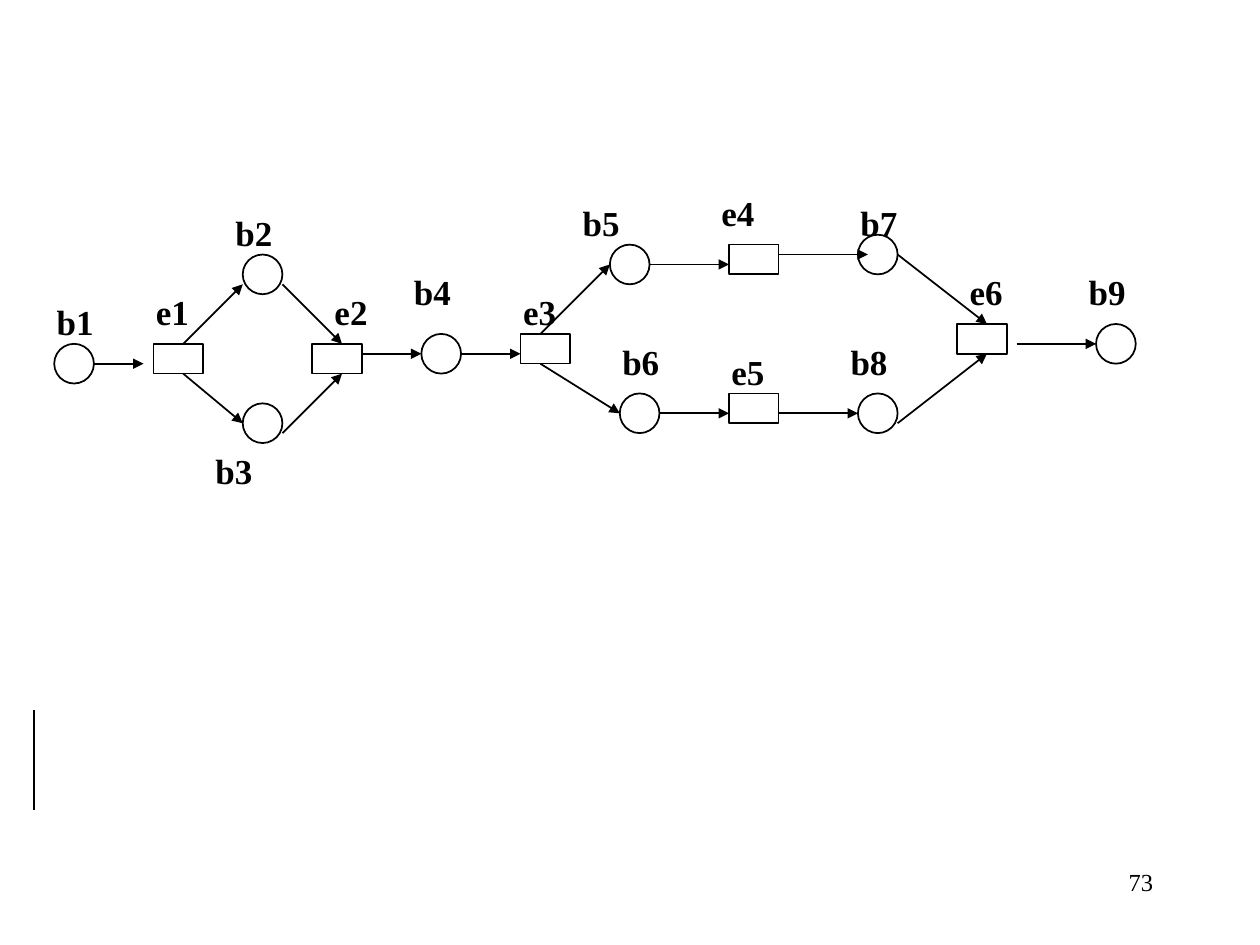
from dataclasses import dataclass

from lxml import etree
from pptx import Presentation
from pptx import util as u
from pptx.dml.color import RGBColor
from pptx.enum import shapes, text
from pptx.oxml import ns

FONT = "Times New Roman"
BLACK = "000000"
UNIT = 5.67  # grid step of the net, in points
LEFT, TOP = 31, 196.5  # grid origin: top left of b1


@dataclass(frozen=True)
class Node:
    name: str
    col: int
    row: int
    label_col: int
    label_row: int

    @property
    def is_event(self) -> bool:
        return self.name.startswith("e")


@dataclass(frozen=True)
class Arrow:
    start: tuple[int, int]
    end: tuple[int, int]


NODES = [
    Node("b1", 0, 0, -1, -5),
    Node("e1", 10, 0, 9, -6),
    Node("b2", 19, -9, 17, -14),
    Node("b3", 19, 6, 15, 10),
    Node("e2", 26, 0, 27, -6),
    Node("b4", 37, -1, 35, -8),
    Node("e3", 47, -1, 46, -6),
    Node("b5", 56, -10, 52, -15),
    Node("b6", 57, 5, 56, -1),
    Node("e4", 68, -10, 66, -16),
    Node("e5", 68, 5, 67, 0),
    Node("b7", 81, -11, 80, -15),
    Node("b8", 81, 5, 79, -1),
    Node("e6", 91, -2, 91, -8),
    Node("b9", 105, -2, 103, -8),
]

ARROWS = [
    Arrow((4, 2), (9, 2)),
    Arrow((13, 0), (19, -6)),
    Arrow((13, 3), (19, 8)),
    Arrow((23, -6), (29, 0)),
    Arrow((23, 9), (29, 3)),
    Arrow((31, 1), (37, 1)),
    Arrow((41, 1), (47, 1)),
    Arrow((49, -1), (56, -8)),
    Arrow((49, 2), (57, 7)),
    Arrow((60, -8), (68, -8)),
    Arrow((61, 7), (68, 7)),
    Arrow((73, 7), (81, 7)),
    Arrow((73, -9), (82, -9)),
    Arrow((85, -9), (94, -2)),
    Arrow((85, 8), (94, 1)),
    Arrow((97, 0), (105, 0)),
]


def colour(value: str) -> RGBColor:
    return RGBColor.from_string(value)


def grid(col: int, row: int) -> tuple[float, float]:
    """Position in points of a grid point."""
    return LEFT + col * UNIT, TOP + row * UNIT


def add_line(page, start: tuple[float, float], end: tuple[float, float], head: bool = False) -> None:
    line = page.shapes.add_connector(
        shapes.MSO_CONNECTOR.STRAIGHT, *(u.Pt(value) for value in start + end))
    line.line.color.rgb = colour(BLACK)
    line.line.width = u.Pt(1)
    if head:
        etree.SubElement(line.line._get_or_add_ln(), ns.qn("a:tailEnd"), type="triangle")
    etree.SubElement(line._element.spPr, ns.qn("a:effectLst"))


def add_node(page, node: Node) -> None:
    kind = shapes.MSO_SHAPE.RECTANGLE if node.is_event else shapes.MSO_SHAPE.OVAL
    width, height = (5, 3) if node.is_event else (4, 4)
    left, top = grid(node.col, node.row)
    shape = page.shapes.add_shape(
        kind, u.Pt(left), u.Pt(top), u.Pt(width * UNIT), u.Pt(height * UNIT))
    shape.shadow.inherit = False
    shape.fill.background()
    shape.line.color.rgb = colour(BLACK)
    shape.line.width = u.Pt(1)


def add_text(page, words: str, *, left: float, top: float, width: float, height: float,
             size: float, bold: bool = False, align=text.PP_ALIGN.LEFT) -> None:
    box = page.shapes.add_textbox(u.Pt(left), u.Pt(top), u.Pt(width), u.Pt(height))
    box.text_frame.word_wrap = True
    para = box.text_frame.paragraphs[0]
    para.alignment = align
    span = para.add_run()
    span.text = words
    span.font.name = FONT
    span.font.size = u.Pt(size)
    span.font.bold = bold
    span.font.color.rgb = colour(BLACK)


def main() -> None:
    deck = Presentation()
    deck.slide_width, deck.slide_height = u.Pt(720), u.Pt(540)
    page = deck.slides.add_slide(deck.slide_layouts[6])

    # Margin line
    add_line(page, (19.5, 406), (19.5, 463))

    # Net: conditions as circles, events as boxes
    for node in NODES:
        add_node(page, node)
    for arrow in ARROWS:
        add_line(page, grid(*arrow.start), grid(*arrow.end), head=True)

    # Names of the nodes
    for node in NODES:
        left, top = grid(node.label_col, node.label_row)
        add_text(page, node.name, left=left, top=top, width=8 * UNIT, height=6 * UNIT,
                 size=20, bold=True)

    # Page number
    add_text(page, "73", left=516, top=492, width=150, height=36, size=14,
             align=text.PP_ALIGN.RIGHT)

    deck.save("out.pptx")


if __name__ == "__main__":
    main()
